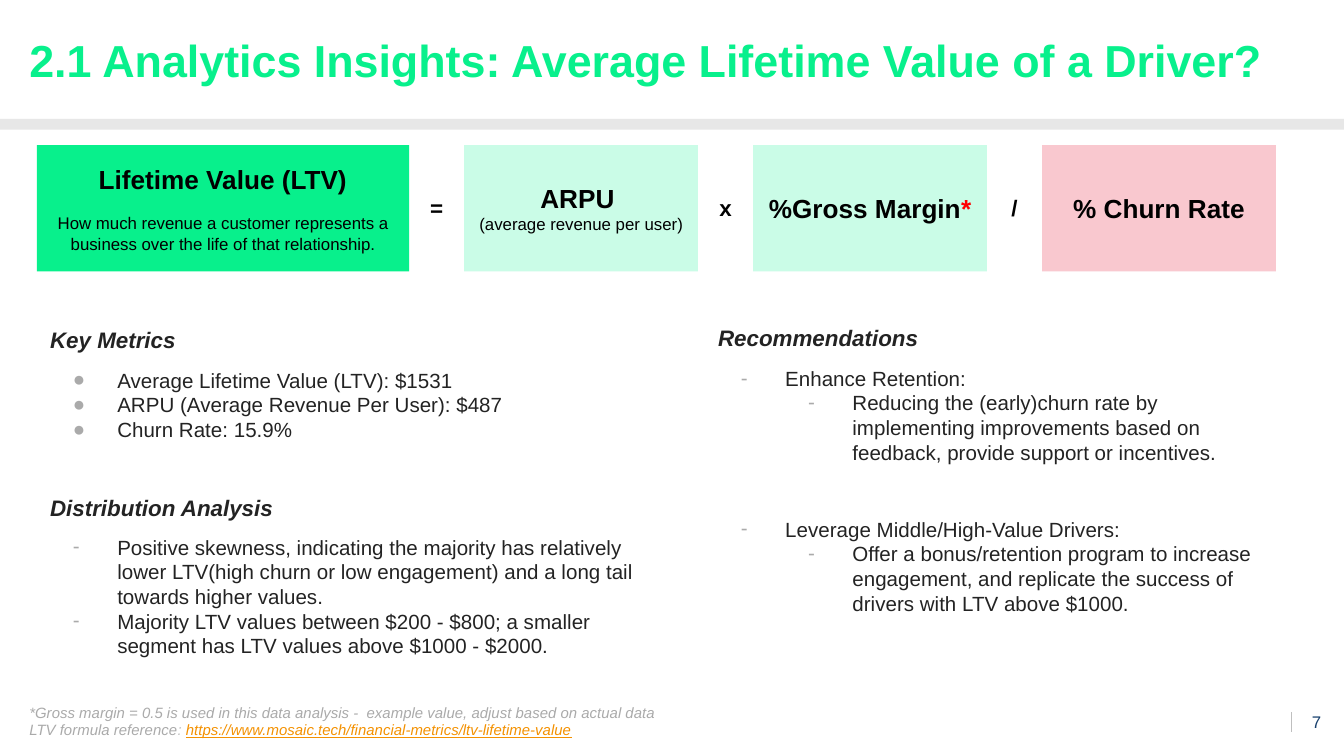
from lxml import etree
from pptx import Presentation
from pptx import util as u
from pptx.dml import color
from pptx.enum import shapes, text
from pptx.oxml import ns

COLUMNS, ROWS = 1000, 562.5
DECK_WIDTH = u.Inches(10)
DECK_HEIGHT = DECK_WIDTH * 9 // 16
GREEN, MINT, PINK = "08F08C", "CAFCE7", "F9C8CF"
INK, BLACK, GREY = "232323", "000000", "AAAAAA"
CENTER, RIGHT = text.PP_ALIGN.CENTER, text.PP_ALIGN.RIGHT
MIDDLE, TOP = text.MSO_ANCHOR.MIDDLE, text.MSO_ANCHOR.TOP

HEADING = {"size": 12, "bold": True, "italic": True, "color": INK}
BODY = {"size": 11, "color": INK}
CARD_TITLE = {"size": 14, "bold": True, "color": BLACK}
CARD_NOTE = {"size": 9, "color": BLACK}
OPERATOR = {"size": 12, "bold": True, "color": BLACK}
FOOTNOTE = {"size": 8, "italic": True, "color": GREY}


def rgb(value):
    return color.RGBColor.from_string(value)


def grid(left, top, width, height):
    x, y = DECK_WIDTH / COLUMNS, DECK_HEIGHT / ROWS
    return [round(n) for n in (left * x, top * y, width * x, height * y)]


def apply(target, values):
    for name, value in values.items():
        setattr(target, name, value)


def style(span, values):
    values = {"name": "Arial", **values}
    span.font.color.rgb = rgb(values.pop("color"))
    values["size"] = u.Pt(values["size"])
    apply(span.font, values)


def add_bullet(para, mark, level):
    para.level = level
    properties = para._p.get_or_add_pPr()
    properties.set("marL", str(u.Inches(0.5 * (level + 1))))
    properties.set("indent", str(u.Inches(-0.33)))
    tint = etree.SubElement(properties, ns.qn("a:buClr"))
    etree.SubElement(tint, ns.qn("a:srgbClr"), val=GREY)
    etree.SubElement(properties, ns.qn("a:buFont"), typeface="Arial")
    etree.SubElement(properties, ns.qn("a:buChar"), char=mark)


def line(*spans, before=0, mark=None, level=0, **layout):
    return {"spans": spans, "before": before, "mark": mark, "level": level, "layout": layout}


def write(box, lines, anchor=MIDDLE, inset=0.1, top=None):
    frame = box.text_frame
    side = u.Inches(inset)
    apply(frame, {
        "word_wrap": True, "vertical_anchor": anchor,
        "margin_left": side, "margin_right": side, "margin_bottom": side,
        "margin_top": side if top is None else u.Inches(top),
    })
    for index, item in enumerate(lines):
        para = frame.add_paragraph() if index else frame.paragraphs[0]
        if item["mark"]:
            add_bullet(para, item["mark"], item["level"])
        apply(para, {"space_before": u.Pt(item["before"]), **item["layout"]})
        for words, values in item["spans"]:
            if words == "\n":
                para.add_line_break()
                continue
            span = para.add_run()
            span.text = words
            style(span, values)


def add_text(slide, place, lines, **layout):
    write(slide.shapes.add_textbox(*grid(*place)), lines, **layout)


def add_block(slide, place, fill):
    block = slide.shapes.add_shape(shapes.MSO_SHAPE.RECTANGLE, *grid(*place))
    block.shadow.inherit = False
    block.fill.solid()
    block.fill.fore_color.rgb = rgb(fill)
    block.line.fill.background()
    return block


def add_rule(slide, left, top, height):
    x, y, _, drop = grid(left, top, 0, height)
    rule = slide.shapes.add_connector(shapes.MSO_CONNECTOR.STRAIGHT, x, y, x, y + drop)
    rule.line.color.rgb = rgb("BFBFBF")
    rule.line.width = u.Pt(0.75)
    etree.SubElement(rule._element.spPr, ns.qn("a:effectLst"))


def add_formula(slide):
    cards = [
        (277, GREEN, [
            line(("Lifetime Value (LTV)", CARD_TITLE), alignment=CENTER),
            line(("How much revenue a customer represents a business over the life of "
                  "that relationship.", CARD_NOTE), before=10, alignment=CENTER)], "="),
        (174, MINT, [
            line(("ARPU ", CARD_TITLE), alignment=CENTER),
            line(("(average revenue per user)", CARD_NOTE), alignment=CENTER)], "x"),
        (174, MINT, [
            line(("%Gross Margin", CARD_TITLE), ("*", {**CARD_TITLE, "color": "FF0000"}),
                 alignment=CENTER)], "/"),
        (174, PINK, [line(("% Churn Rate", CARD_TITLE), alignment=CENTER)], None),
    ]
    left, gap = 27.4, 41
    for width, fill, lines, sign in cards:
        write(add_block(slide, (left, 108, width, 94), fill), lines)
        left += width
        if sign:
            add_text(slide, (left, 134.5, gap, 40),
                     [line((sign, OPERATOR), alignment=CENTER)], anchor=TOP)
            left += gap


def add_findings(slide):
    metrics = [
        line(("Key Metrics", HEADING)),
        line(("Average Lifetime Value (LTV): $1531", BODY), before=7.5, mark="●"),
        line(("ARPU (Average Revenue Per User): $487", BODY), mark="●"),
        line(("Churn Rate: 15.9%", BODY), mark="●"),
        line(("Distribution Analysis", HEADING), before=28),
        line(("Positive skewness, indicating the majority has relatively lower LTV(high "
              "churn or low engagement) and a long tail towards higher values.", BODY),
             before=7.5, mark="-"),
        line(("Majority LTV values between $200 - $800; a smaller segment has LTV values "
              "above $1000 - $2000.", BODY), mark="-"),
    ]
    advice = [
        line(("Recommendations", HEADING)),
        line(("Enhance Retention:", BODY), before=8, mark="-"),
        line(("Reducing the (early)churn rate by implementing improvements based on "
              "feedback, provide support or incentives.", BODY), mark="-", level=1),
        line(("Leverage Middle/High-Value Drivers:", BODY), before=28, mark="-"),
        line(("Offer a bonus/retention program to increase engagement, and replicate the "
              "success of drivers with LTV above $1000.", BODY), mark="-", level=1),
    ]
    add_text(slide, (27.4, 202, 461, 308), metrics, anchor=TOP, top=0.41)
    add_text(slide, (524.4, 202, 425, 308), advice, anchor=TOP, top=0.39)


def add_footer(slide):
    add_text(slide, (12, 522, 890, 29), [line(
        ("*Gross margin = 0.5 is used in this data analysis -  example value, "
         "adjust based on actual data ", FOOTNOTE),
        ("\n", FOOTNOTE),
        ("LTV formula reference", FOOTNOTE),
        (": ", {**FOOTNOTE, "color": "BFBFBF"}),
        ("https://www.mosaic.tech/financial-metrics/ltv-lifetime-value",
         {**FOOTNOTE, "color": "F49100", "underline": True}))])
    add_rule(slide, 961, 530, 15)
    add_text(slide, (940, 521, 43, 32),
             [line(("7", {"size": 9, "color": "17406D"}), alignment=RIGHT)], inset=0)


def main():
    deck = Presentation()
    apply(deck, {"slide_width": DECK_WIDTH, "slide_height": DECK_HEIGHT})
    slide = deck.slides.add_slide(deck.slide_layouts[6])
    add_block(slide, (0, 88.5, COLUMNS, 8), "E7E7E7")
    title = ("2.1 Analytics Insights: Average Lifetime Value of a Driver?",
             {"size": 24, "bold": True, "color": GREEN})
    add_text(slide, (12, 9.5, 976, 75), [line(title, line_spacing=0.9)])
    add_formula(slide)
    add_findings(slide)
    add_footer(slide)
    deck.save("out.pptx")


if __name__ == "__main__":
    main()
